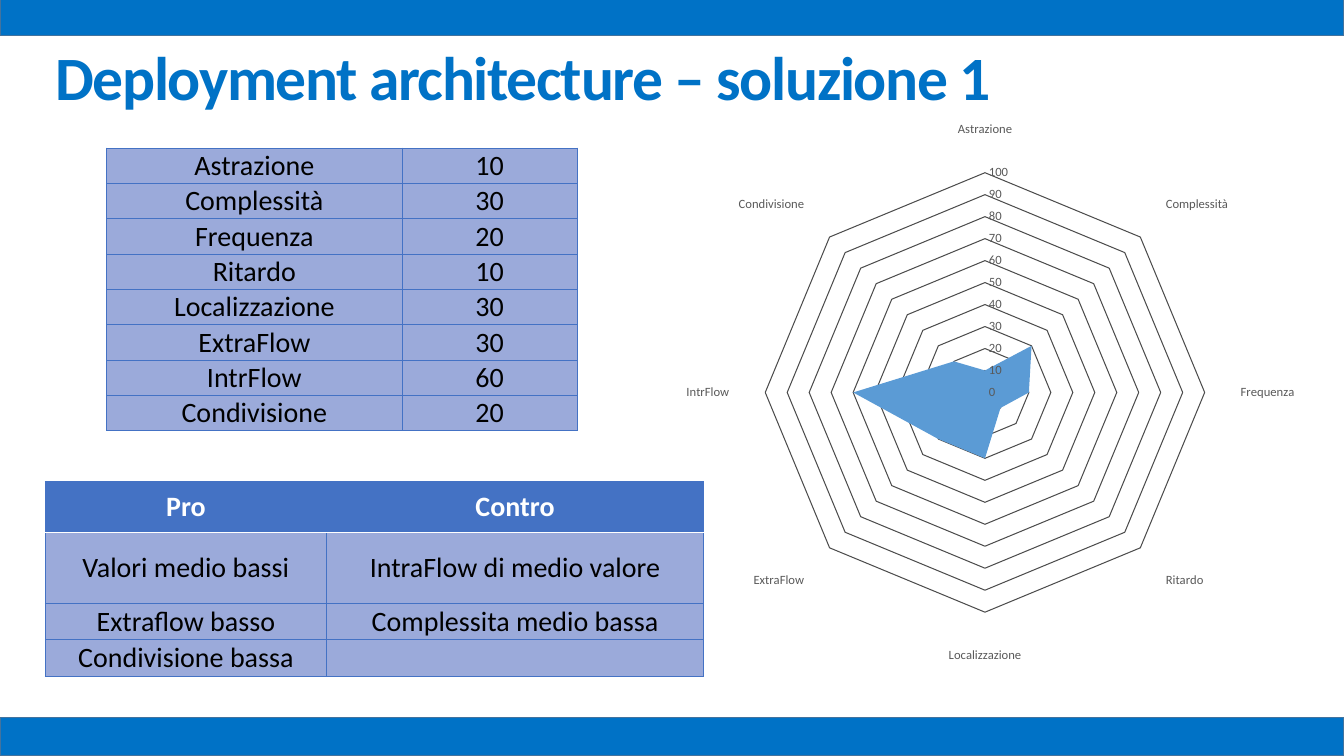
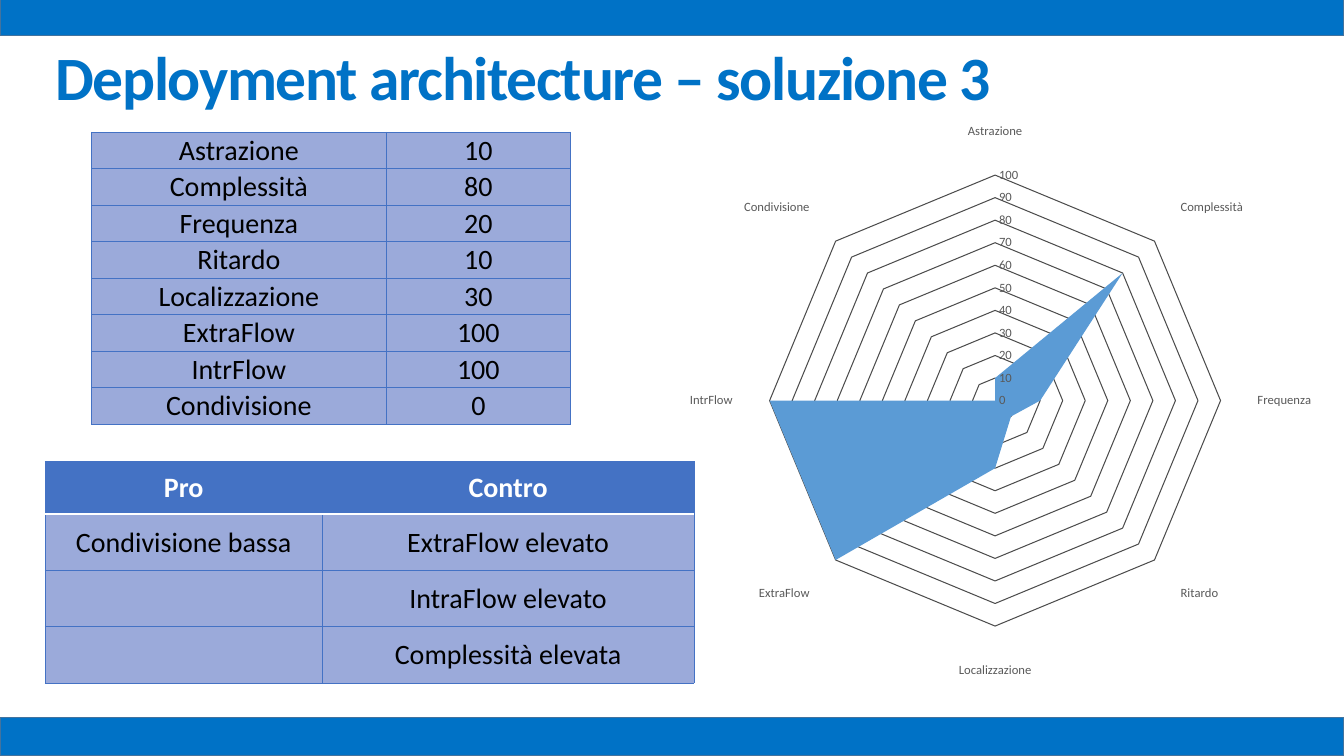
from dataclasses import dataclass

from lxml.etree import SubElement as Sub
from pptx import Presentation
from pptx.chart.data import CategoryChartData as Data
from pptx.dml.color import RGBColor as RGB
from pptx.enum.chart import XL_CHART_TYPE as Kind, XL_TICK_MARK as Tick
from pptx.enum.shapes import MSO_SHAPE as Shape
from pptx.enum.text import MSO_ANCHOR as Anchor, MSO_AUTO_SIZE as Fit, PP_ALIGN as Align
from pptx.oxml import parse_xml
from pptx.oxml.ns import nsdecls, qn
from pptx.util import Cm, Pt


@dataclass(frozen=True)
class Theme:
    font: str = "Calibri"
    brand: RGB = RGB(0x00, 0x72, 0xC6)
    edge: RGB = RGB(0x43, 0x73, 0x9E)
    head: RGB = RGB(0x44, 0x72, 0xC4)
    body: RGB = RGB(0x9B, 0xAA, 0xDA)
    area: RGB = RGB(0x5B, 0x9B, 0xD5)
    gray: RGB = RGB(0x59, 0x59, 0x59)
    rim: RGB = RGB(0xD9, 0xD9, 0xD9)
    black: RGB = RGB(0, 0, 0)
    white: RGB = RGB(0xFF, 0xFF, 0xFF)
    title: int = 44
    text: int = 20
    label: int = 9


T = Theme()


def write(frame, text, size=T.text, color=T.black, bold=False, align=Align.CENTER, space=0):
    para = frame.paragraphs[0]
    para.alignment = align
    if not text:
        return
    run = para.add_run()
    run.text = text
    font = run.font
    font.name, font.size, font.bold = T.font, Pt(size), bold
    font.color.rgb = color
    if space:
        run._r.get_or_add_rPr().set("spc", str(space * 100))


def grid(slide, left, top, cols, rows, cells, head=False):
    table = slide.shapes.add_table(
        len(rows), len(cols), Cm(left), Cm(top), Cm(sum(cols)), Cm(sum(rows))
    ).table
    table.first_row = head
    table.horz_banding = False
    for col, wide in zip(table.columns, cols):
        col.width = Cm(wide)
    for r, (row, high) in enumerate(zip(table.rows, rows)):
        row.height = Cm(high)
        top_row = head and r == 0
        for cell, text in zip(row.cells, cells[r]):
            cell.margin_left = cell.margin_right = cell.margin_top = Cm(0.02)
            cell.margin_bottom = 0
            cell.vertical_anchor = Anchor.MIDDLE
            props = cell._tc.get_or_add_tcPr()
            for side in ("lnL", "lnR", "lnT", "lnB"):
                split = head and (r, side) in ((0, "lnB"), (1, "lnT"))
                line = Sub(props, qn(f"a:{side}"), w=str(Pt(1 if split else 0.5)))
                fill = Sub(line, qn("a:solidFill"))
                Sub(fill, qn("a:srgbClr"), val=str(T.white if split else T.head))
            cell.fill.solid()
            cell.fill.fore_color.rgb = T.head if top_row else T.body
            write(cell.text_frame, text, bold=top_row, color=T.white if top_row else T.black)


names = ["Astrazione", "Complessità", "Frequenza", "Ritardo",
         "Localizzazione", "ExtraFlow", "IntrFlow", "Condivisione"]

plans = [
    dict(
        title="Deployment architecture – soluzione 1",
        vals=[10, 30, 20, 10, 30, 30, 60, 20],
        score=dict(left=2.69, top=3.73, cols=[7.44, 4.42], rows=[0.89] * 8),
        sides=dict(left=1.14, top=12.14, cols=[7.09, 9.5], rows=[1.27, 1.78, 0.92, 0.92]),
        points=[("Valori medio bassi", "IntraFlow di medio valore"),
                ("Extraflow basso", "Complessita medio bassa"),
                ("Condivisione bassa", "")],
        radar=(12.12, 2.79, 25.68, 14.2),
    ),
    dict(
        title="Deployment architecture – soluzione 3",
        vals=[10, 80, 20, 10, 30, 100, 100, 0],
        score=dict(left=2.31, top=3.33, cols=[7.42, 4.65], rows=[0.92] * 8),
        sides=dict(left=1.14, top=11.63, cols=[6.98, 9.37], rows=[1.32] + [1.42] * 3),
        points=[("Condivisione bassa", "ExtraFlow elevato"),
                ("", "IntraFlow elevato"),
                ("", "Complessità elevata")],
        radar=(11.84, 2.82, 26.75, 14.55),
    ),
]

deck = Presentation()
deck.slide_width, deck.slide_height = Cm(33.87), Cm(19.05)

for plan in plans:
    slide = deck.slides.add_slide(deck.slide_layouts[5])

    for top in (-0.08, 18.08):
        band = slide.shapes.add_shape(Shape.RECTANGLE, 0, Cm(top), deck.slide_width, Cm(0.97))
        band.shadow.inherit = False
        band.fill.solid()
        band.fill.fore_color.rgb = T.brand
        band.line.color.rgb = T.edge
        band.line.width = Pt(1)

    title = slide.shapes.title
    title.left, title.top, title.width, title.height = Cm(1.14), Cm(0.86), Cm(32.26), Cm(4.7)
    frame = title.text_frame
    frame.word_wrap = True
    frame.auto_size = Fit.SHAPE_TO_FIT_TEXT
    frame.vertical_anchor = Anchor.TOP
    write(frame, plan["title"], size=T.title, color=T.brand, bold=True, align=Align.LEFT, space=-1)

    scores = [(name, str(val)) for name, val in zip(names, plan["vals"])]
    grid(slide, cells=scores, **plan["score"])
    grid(slide, cells=[("Pro", "Contro")] + plan["points"], head=True, **plan["sides"])

    data = Data()
    data.categories = names
    data.add_series("Series 1", plan["vals"])
    box = [Cm(n) for n in plan["radar"]]
    chart = slide.shapes.add_chart(Kind.RADAR_FILLED, *box, data).chart
    chart.has_title = chart.has_legend = False
    chart.font.name, chart.font.size = T.font, Pt(10)
    chart.font.color.rgb = T.black

    root = chart._chartSpace
    clear = f'<c:spPr {nsdecls("c", "a")}><a:noFill/><a:ln><a:noFill/></a:ln></c:spPr>'
    root.find(qn("c:chart")).addnext(parse_xml(clear))
    root.find(".//" + qn("c:plotArea")).append(parse_xml(clear))

    plot = chart.plots[0]
    plot.vary_by_categories = False
    area = plot.series[0].format
    area.fill.solid()
    area.fill.fore_color.rgb = T.area
    area.line.fill.background()

    cat, val = chart.category_axis, chart.value_axis
    for axis in (cat, val):
        axis.major_tick_mark = axis.minor_tick_mark = Tick.NONE
        font = axis.tick_labels.font
        font.name, font.size = T.font, Pt(T.label)
        font.color.rgb = T.gray
    cat.has_major_gridlines = False
    cat.format.line.color.rgb = T.rim
    cat.format.line.width = Pt(0.75)
    val.format.line.fill.background()
    val.minimum_scale, val.maximum_scale, val.major_unit = 0, 100, 10
    val.has_major_gridlines = True
    rings = val.major_gridlines.format.line
    rings.color.rgb = T.black
    rings.width = Pt(0.75)
    ink = root.find(".//" + qn("c:valAx")).find(qn("c:majorGridlines"))
    Sub(ink.find(".//" + qn("a:srgbClr")), qn("a:alpha"), val="70000")

deck.save("out.pptx")
